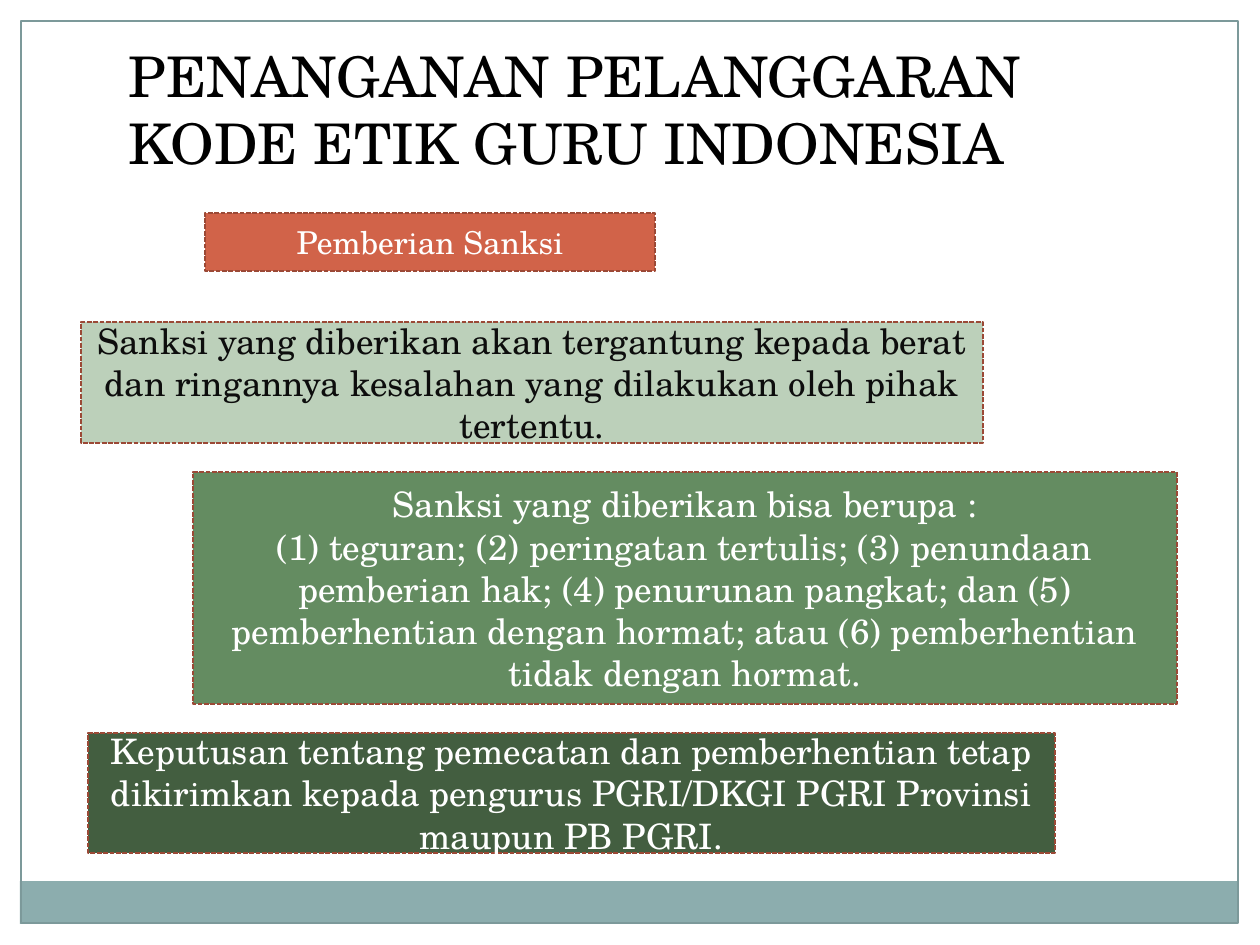
from dataclasses import dataclass

from pptx import Presentation
from pptx.dml.color import RGBColor
from pptx.enum.dml import MSO_LINE
from pptx.enum.shapes import MSO_SHAPE
from pptx.enum.text import MSO_ANCHOR, PP_ALIGN
from pptx.util import Emu, Pt

RECTANGLE = MSO_SHAPE.RECTANGLE
DASH = MSO_LINE.SQUARE_DOT
MIDDLE = MSO_ANCHOR.MIDDLE
LEFT, CENTER = PP_ALIGN.LEFT, PP_ALIGN.CENTER
EMU_PER_PX = 914400 / 126


@dataclass(frozen=True)
class Theme:
    font: str = "TeX Gyre Schola"
    title_size: int = 32
    heading_size: int = 18
    body_size: int = 20
    black: str = "000000"
    ink: str = "0D0D0D"
    white: str = "FFFFFF"
    band: str = "8CADAE"
    frame: str = "7C999A"
    border: str = "9B4936"
    orange: str = "D16349"
    light_green: str = "BCD0BA"
    green: str = "648C61"
    dark_green: str = "435E40"


@dataclass(frozen=True)
class Area:
    left: int
    top: int
    width: int
    height: int


@dataclass(frozen=True)
class Panel:
    area: Area
    fill: str
    color: str
    size: int
    lines: tuple[str, ...]


THEME = Theme()
BAND = Area(20, 881, 1217, 43)
FRAME = Area(21, 21, 1217, 902)
TITLE = Area(50, 34, 1135, 149)
TITLE_INSET = 79

PANELS = (
    Panel(Area(205, 213, 450, 58), THEME.orange, THEME.white, THEME.heading_size,
          ("Pemberian Sanksi",)),
    Panel(Area(81, 322, 902, 121), THEME.light_green, THEME.ink, THEME.body_size,
          ("Sanksi yang diberikan akan tergantung kepada berat dan ringannya "
           "kesalahan yang dilakukan oleh pihak tertentu.",)),
    Panel(Area(193, 472, 984, 232), THEME.green, THEME.white, THEME.body_size,
          ("Sanksi yang diberikan bisa berupa :",
           "(1) teguran; (2) peringatan tertulis; (3) penundaan pemberian hak; "
           "(4) penurunan pangkat; dan (5) pemberhentian dengan hormat; "
           "atau (6) pemberhentian tidak dengan hormat.")),
    Panel(Area(88, 733, 967, 120), THEME.dark_green, THEME.white, THEME.body_size,
          ("Keputusan tentang pemecatan dan pemberhentian tetap dikirimkan "
           "kepada pengurus PGRI/DKGI PGRI Provinsi maupun PB PGRI.",)),
)


def px(length: int) -> Emu:
    return Emu(round(length * EMU_PER_PX))


def place(area: Area) -> tuple[Emu, Emu, Emu, Emu]:
    return px(area.left), px(area.top), px(area.width), px(area.height)


def write(frame, lines: tuple[str, ...], *, size: int, color: str,
          align: PP_ALIGN) -> None:
    frame.word_wrap = True
    frame.vertical_anchor = MIDDLE
    for index, line in enumerate(lines):
        para = frame.add_paragraph() if index else frame.paragraphs[0]
        para.alignment = align
        span = para.add_run()
        span.text = line
        span.font.name = THEME.font
        span.font.size = Pt(size)
        span.font.color.rgb = RGBColor.from_string(color)


def add_box(page, area: Area, *, fill: str | None = None, line: str | None = None,
            line_width: float = 0.75, dashed: bool = False):
    box = page.shapes.add_shape(RECTANGLE, *place(area))
    box.shadow.inherit = False
    if fill:
        box.fill.solid()
        box.fill.fore_color.rgb = RGBColor.from_string(fill)
    else:
        box.fill.background()
    if line:
        box.line.color.rgb = RGBColor.from_string(line)
        box.line.width = Pt(line_width)
    else:
        box.line.fill.background()
    if dashed:
        box.line.dash_style = DASH
    return box


def add_panel(page, panel: Panel) -> None:
    box = add_box(page, panel.area, fill=panel.fill, line=THEME.border,
                  line_width=0.9, dashed=True)
    write(box.text_frame, panel.lines, size=panel.size, color=panel.color,
          align=CENTER)


def main() -> None:
    deck = Presentation()
    deck.slide_width, deck.slide_height = px(1260), px(945)
    page = deck.slides.add_slide(deck.slide_layouts[6])

    # Bottom band and page frame
    add_box(page, BAND, fill=THEME.band)
    add_box(page, FRAME, line=THEME.frame)

    # Title
    title = page.shapes.add_textbox(*place(TITLE)).text_frame
    title.margin_left = px(TITLE_INSET)
    write(title, ("PENANGANAN PELANGGARAN KODE ETIK GURU INDONESIA",),
          size=THEME.title_size, color=THEME.black, align=LEFT)

    # Sanction panels
    for panel in PANELS:
        add_panel(page, panel)

    deck.save("out.pptx")


if __name__ == "__main__":
    main()
